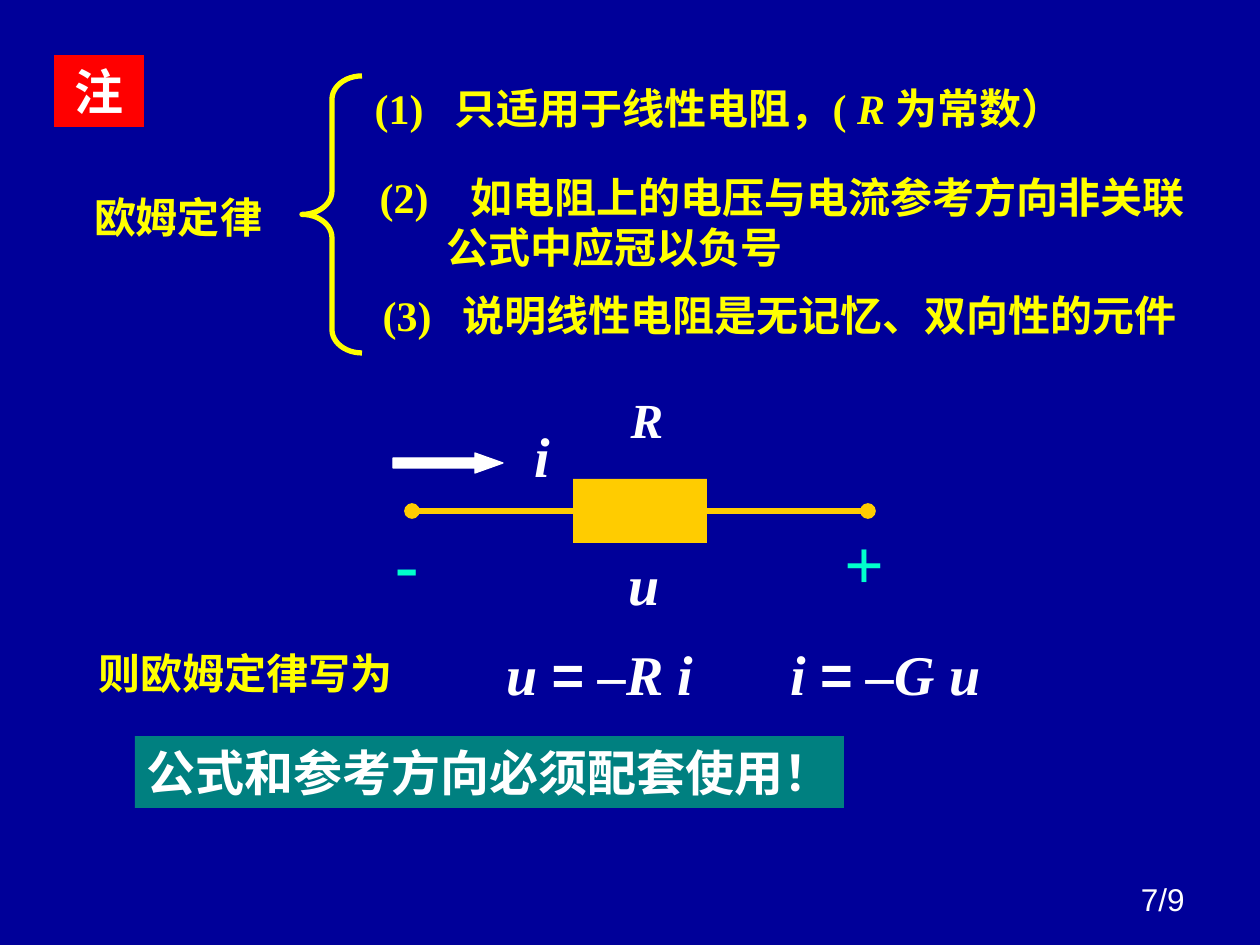
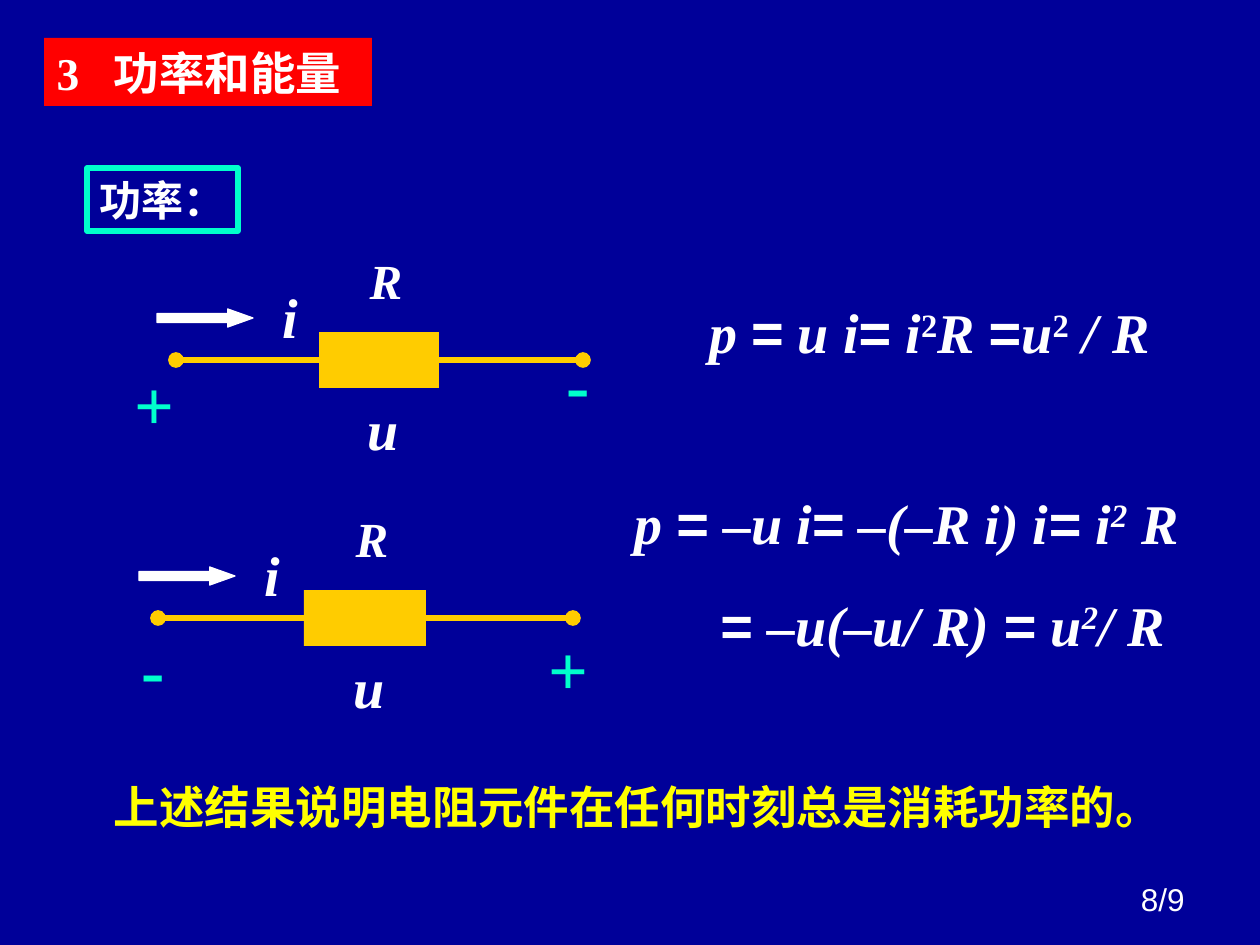
from dataclasses import dataclass
from itertools import groupby

import pptx
import pptx.dml.color
import pptx.enum.shapes
import pptx.enum.text
import pptx.oxml.ns
import pptx.util
from lxml import etree
from pptx.presentation import Presentation
from pptx.shapes.base import BaseShape
from pptx.slide import Slide

PX_PER_INCH = 126
ALIGN = pptx.enum.text.PP_ALIGN
ANCHOR = pptx.enum.text.MSO_ANCHOR
SHAPE = pptx.enum.shapes.MSO_SHAPE


@dataclass(frozen=True)
class Theme:
    background: str = "000099"
    white: str = "FFFFFF"
    yellow: str = "FFFF00"
    title_band: str = "FF0000"
    conclusion_band: str = "008080"
    resistor: str = "FFCC00"
    accent: str = "00FFCC"
    serif: str = "Times New Roman"
    sans: str = "Arial"
    page_size: int = 18
    body_size: int = 24
    heading_size: int = 26
    band_size: int = 28
    formula_size: int = 32
    polarity_size: int = 40
    line_width: int = 3


THEME = Theme()


@dataclass(frozen=True)
class Box:
    left: int
    top: int
    width: int
    height: int

    def emu(self) -> tuple[int, ...]:
        return tuple(px(v) for v in (self.left, self.top, self.width, self.height))


@dataclass(frozen=True)
class ListLine:
    text: str
    first_left: int
    text_left: int
    space_before: int = 0


@dataclass(frozen=True)
class Polarity:
    sign: str
    centre: int
    top: int


@dataclass(frozen=True)
class Circuit:
    left: int
    right: int
    wire: int
    resistor_width: int
    resistor_height: int
    polarities: tuple[Polarity, Polarity]


OHM_NOTES = (
    ListLine("(1)\t只适用于线性电阻，( R 为常数）", 0, 80),
    ListLine("(2)\t如电阻上的电压与电流参考方向非关联", 5, 96, 22),
    ListLine("公式中应冠以负号", 72, 72),
    ListLine("(3)\t说明线性电阻是无记忆、双向性的元件", 8, 88, 10),
)
OHM_CIRCUIT = Circuit(412, 868, 511, 134, 64,
                      (Polarity("-", 407, 513), Polarity("+", 864, 513)))
POWER_CIRCUITS = (
    Circuit(176, 583, 360, 120, 56,
            (Polarity("+", 154, 354), Polarity("-", 578, 334))),
    Circuit(158, 573, 618, 122, 56,
            (Polarity("-", 153, 619), Polarity("+", 568, 619))),
)


def px(value: float) -> int:
    return round(value * pptx.util.Inches(1) / PX_PER_INCH)


def rgb(color: str) -> pptx.dml.color.RGBColor:
    return pptx.dml.color.RGBColor.from_string(color)


def write(paragraph, text: str, *, size: int = THEME.body_size,
          color: str = THEME.white, font: str = THEME.serif, bold: bool = True,
          italic: bool = False, superscript: bool = False) -> None:
    run = paragraph.add_run()
    run.text = text
    run.font.name = font
    run.font.size = pptx.util.Pt(size)
    run.font.bold = bold
    run.font.italic = italic
    run.font.color.rgb = rgb(color)
    if superscript:
        run.font._element.set("baseline", "30000")


def write_formula(paragraph, text: str, italic_exponent: bool = False) -> None:
    """Write symbols in italics, "=" in the sans font and ² as a raised 2."""
    for kind, characters in groupby(text, lambda c: c if c in "=²" else ""):
        piece = "".join(characters)
        if kind == "=":
            write(paragraph, piece, size=THEME.formula_size, font=THEME.sans)
        elif kind == "²":
            write(paragraph, "2", size=THEME.formula_size,
                  italic=italic_exponent, superscript=True)
        else:
            write(paragraph, piece, size=THEME.formula_size, italic=True)


def hang(paragraph, first_left: int, text_left: int) -> None:
    """Start the line at first_left; a tab then reaches text_left."""
    properties = paragraph._p.get_or_add_pPr()
    properties.set("marL", str(px(text_left)))
    properties.set("indent", str(px(first_left - text_left)))


def format_frame(shape: BaseShape, alignment=ALIGN.CENTER, anchor=ANCHOR.MIDDLE):
    """Prepare the text frame and return its first paragraph."""
    frame = shape.text_frame
    frame.auto_size = pptx.enum.text.MSO_AUTO_SIZE.NONE
    frame.word_wrap = alignment != ALIGN.CENTER
    frame.vertical_anchor = anchor
    paragraph = frame.paragraphs[0]
    paragraph.alignment = alignment
    return paragraph


def add_box(slide: Slide, box: Box, alignment=ALIGN.CENTER, anchor=ANCHOR.MIDDLE,
            fill: str | None = None, line: str | None = None):
    """Add a text box and return its first paragraph."""
    shape = slide.shapes.add_textbox(*box.emu())
    if fill:
        shape.fill.solid()
        shape.fill.fore_color.rgb = rgb(fill)
    if line:
        shape.line.color.rgb = rgb(line)
        shape.line.width = pptx.util.Pt(THEME.line_width)
    return format_frame(shape, alignment, anchor)


def place(shape: BaseShape, box: Box) -> None:
    shape.left, shape.top, shape.width, shape.height = box.emu()


def add_title(slide: Slide, box: Box, alignment=ALIGN.CENTER):
    title = slide.shapes.title
    place(title, box)
    title.fill.solid()
    title.fill.fore_color.rgb = rgb(THEME.title_band)
    return format_frame(title, alignment)


def add_list(slide: Slide, box: Box, lines: tuple[ListLine, ...]) -> None:
    body = slide.placeholders[1]
    place(body, box)
    paragraph = format_frame(body, ALIGN.LEFT, ANCHOR.TOP)
    for index, line in enumerate(lines):
        if index:
            paragraph = body.text_frame.add_paragraph()
            paragraph.alignment = ALIGN.LEFT
        paragraph.space_before = pptx.util.Pt(line.space_before)
        hang(paragraph, line.first_left, line.text_left)
        etree.SubElement(paragraph._p.get_or_add_pPr(), pptx.oxml.ns.qn("a:buNone"))
        for piece in filter(None, line.text.partition("R")):
            write(paragraph, piece, color=THEME.yellow, italic=piece == "R")


def add_preset(slide: Slide, kind, box: Box, fill: str | None = None):
    shape = slide.shapes.add_shape(kind, *box.emu())
    shape.shadow.inherit = False
    shape.line.fill.background()
    if fill:
        shape.fill.solid()
        shape.fill.fore_color.rgb = rgb(fill)
    else:
        shape.fill.background()
    return shape


def add_wire(slide: Slide, start: int, end: int, y: int) -> None:
    """Draw a horizontal wire with a round terminal at its end."""
    wire = slide.shapes.add_connector(
        pptx.enum.shapes.MSO_CONNECTOR.STRAIGHT, px(start), px(y), px(end), px(y))
    wire.line.color.rgb = rgb(THEME.resistor)
    wire.line.width = pptx.util.Pt(THEME.line_width)
    etree.SubElement(wire.line._get_or_add_ln(), pptx.oxml.ns.qn("a:tailEnd"), type="oval")
    etree.SubElement(wire._element.spPr, pptx.oxml.ns.qn("a:effectLst"))


def add_circuit(slide: Slide, circuit: Circuit) -> None:
    scale = circuit.resistor_height / OHM_CIRCUIT.resistor_height
    middle = (circuit.left + circuit.right) // 2
    half = circuit.resistor_width // 2

    def above(distance: int) -> int:
        return circuit.wire - round(distance * scale)

    add_preset(slide, SHAPE.RECTANGLE,
               Box(middle - half, above(32), circuit.resistor_width,
                   circuit.resistor_height), THEME.resistor)
    add_wire(slide, middle - half, circuit.left, circuit.wire)
    add_wire(slide, middle + half, circuit.right, circuit.wire)

    arrow = add_preset(slide, SHAPE.RIGHT_ARROW,
                       Box(circuit.left - 19, above(58), round(110 * scale),
                           round(20 * scale)), THEME.white)
    arrow.adjustments[0], arrow.adjustments[1] = 0.5, 1.4
    arrow.line.color.rgb = rgb(THEME.white)
    arrow.line.width = pptx.util.Pt(0.75)

    symbols = (
        ("R", middle + 7, above(92) - 36, 72, THEME.band_size),
        ("u", middle + 4, above(-32), 81, THEME.formula_size),
        ("i", circuit.left + round(130 * scale), above(96), 81, THEME.formula_size),
    )
    for symbol, centre, top, height, size in symbols:
        paragraph = add_box(slide, Box(centre - 36, top, 72, height), anchor=ANCHOR.TOP)
        write(paragraph, symbol, size=size, italic=True)
    for polarity in circuit.polarities:
        paragraph = add_box(slide, Box(polarity.centre - 35, polarity.top, 70, 97),
                            anchor=ANCHOR.TOP)
        write(paragraph, polarity.sign, size=THEME.polarity_size, color=THEME.accent)


def add_slide(presentation: Presentation, layout: int, page: str) -> Slide:
    slide = presentation.slides.add_slide(presentation.slide_layouts[layout])
    paragraph = add_box(slide, Box(903, 861, 294, 63), ALIGN.RIGHT, ANCHOR.BOTTOM)
    write(paragraph, page, size=THEME.page_size, font=THEME.sans, bold=False)
    return slide


def build_ohm_slide(presentation: Presentation) -> None:
    slide = add_slide(presentation, 1, "7/9")
    write(add_title(slide, Box(54, 55, 90, 72)), "注", size=THEME.band_size)
    add_list(slide, Box(362, 76, 870, 270), OHM_NOTES)
    write(add_box(slide, Box(74, 185, 208, 63)), "欧姆定律", color=THEME.yellow)

    brace = add_preset(slide, SHAPE.LEFT_BRACE, Box(302, 76, 60, 277))
    brace.adjustments[0] = 0.39
    brace.line.color.rgb = rgb(THEME.yellow)
    brace.line.width = pptx.util.Pt(THEME.line_width)

    add_circuit(slide, OHM_CIRCUIT)
    write(add_box(slide, Box(86, 641, 319, 63)), "则欧姆定律写为", color=THEME.yellow)
    formulas = add_box(slide, Box(422, 633, 649, 81), ALIGN.LEFT)
    hang(formulas, 72, 356)
    write_formula(formulas, "u = –R i\ti = –G u")
    conclusion = add_box(slide, Box(135, 736, 709, 72), fill=THEME.conclusion_band)
    write(conclusion, "公式和参考方向必须配套使用！", size=THEME.band_size)


def build_power_slide(presentation: Presentation) -> None:
    slide = add_slide(presentation, 5, "8/9")
    title = add_title(slide, Box(44, 38, 328, 68), ALIGN.LEFT)
    hang(title, 0, 57)
    write(title, "3\t功率和能量", size=THEME.heading_size)
    write(add_box(slide, Box(87, 168, 151, 63), line=THEME.accent), "功率：")
    for circuit in POWER_CIRCUITS:
        add_circuit(slide, circuit)

    write_formula(add_box(slide, Box(651, 291, 557, 81)), "p = u i= i²R =u² / R")
    derivation = add_box(slide, Box(610, 444, 610, 258), ALIGN.LEFT)
    hang(derivation, 12, 12)
    write_formula(derivation, "p = –u i= –(–R i) i= i² R", italic_exponent=True)
    second_line = derivation._parent.add_paragraph()
    second_line.space_before = pptx.util.Pt(20)
    hang(second_line, 98, 98)
    write_formula(second_line, "= –u(–u/ R) = u²/ R", italic_exponent=True)

    write(add_box(slide, Box(101, 772, 1074, 68)),
          "上述结果说明电阻元件在任何时刻总是消耗功率的。",
          size=THEME.heading_size, color=THEME.yellow)


def main() -> None:
    presentation = pptx.Presentation()
    presentation.slide_width = px(1260)
    presentation.slide_height = px(945)
    background = presentation.slide_master.background.fill
    background.solid()
    background.fore_color.rgb = rgb(THEME.background)
    build_ohm_slide(presentation)
    build_power_slide(presentation)
    presentation.save("out.pptx")


if __name__ == "__main__":
    main()
